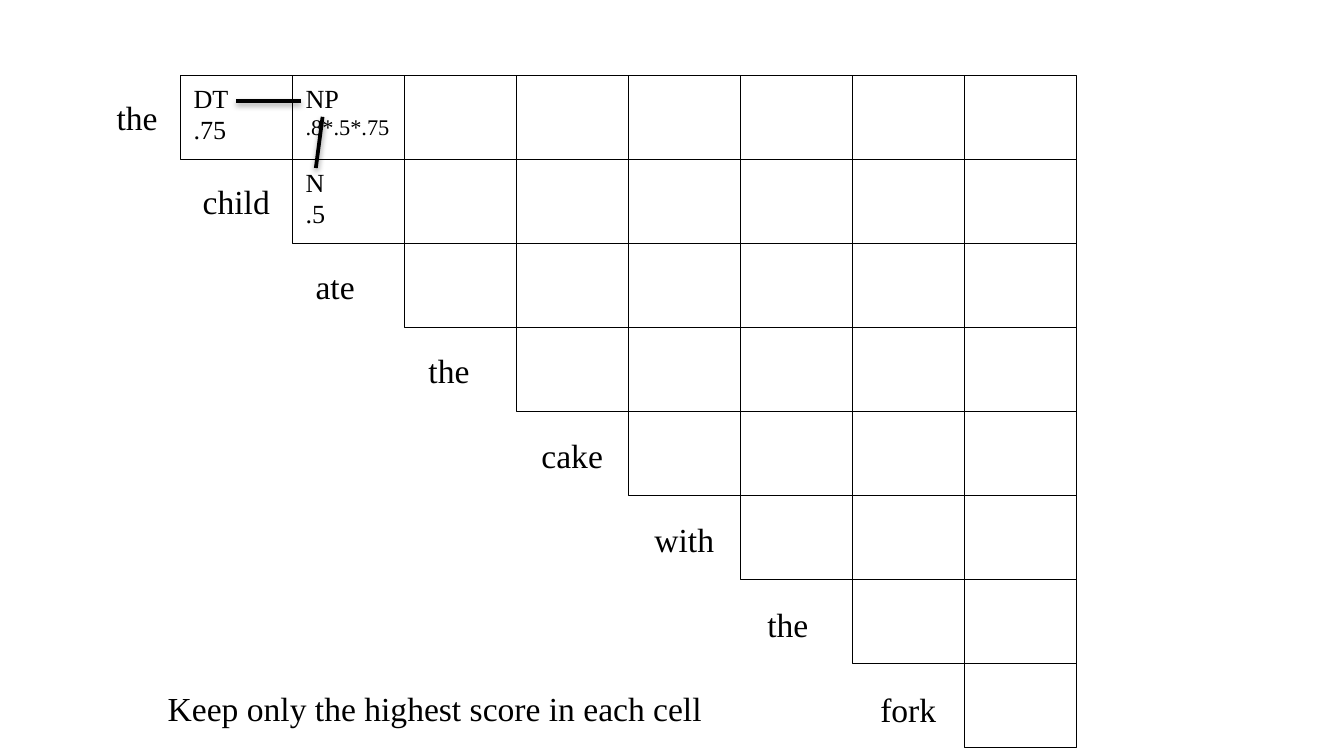
from typing import NamedTuple

from lxml.etree import SubElement
from pptx import Presentation
from pptx.dml.color import RGBColor
from pptx.enum.shapes import MSO_CONNECTOR as CONN, MSO_SHAPE as SHAPE
from pptx.enum.text import MSO_ANCHOR, MSO_AUTO_SIZE as AUTO, PP_ALIGN as ALIGN
from pptx.oxml.ns import qn
from pptx.util import Pt

COLORS = {"ink": "000000"}
FONT = "Times New Roman"
GRID_X, GRID_Y = 96.6, 40.4
CELL_W, CELL_H = 60, 45
LABEL_SIZE, LABEL_H = 18, 29


class Line(NamedTuple):
    text: str
    size: float


class Label(NamedTuple):
    text: str
    x: float
    y: float
    w: float


class Link(NamedTuple):
    x1: float
    y1: float
    x2: float
    y2: float


# Sentence words with the widths of their labels
WORDS = [("the", 36.5), ("child", 51), ("ate", 36), ("the", 36.5),
         ("cake", 47.5), ("with", 47), ("the", 36.5), ("fork", 44.5)]

# Chart entries by (row, column)
ENTRIES = {
    (0, 0): [Line("DT", 14), Line(".75", 14)],
    (0, 1): [Line("NP", 14), Line(".8*.5*.75", 12)],
    (1, 1): [Line("N", 14), Line(".5", 14)],
}

# Back pointers from NP to its two parts
LINKS = [Link(161.3, 54, 126.7, 54), Link(172.8, 62.6, 169.2, 90)]


def ink() -> RGBColor:
    return RGBColor.from_string(COLORS["ink"])


def write(tf, lines: list[Line]) -> None:
    for i, line in enumerate(lines):
        p = tf.add_paragraph() if i else tf.paragraphs[0]
        p.text = line.text
        p.alignment = ALIGN.LEFT
        p.font.name, p.font.size = FONT, Pt(line.size)
        p.font.color.rgb = ink()


def add_cell(s, row: int, col: int) -> None:
    sp = s.shapes.add_shape(SHAPE.RECTANGLE, Pt(GRID_X + col * CELL_W),
                            Pt(GRID_Y + row * CELL_H), Pt(CELL_W), Pt(CELL_H))
    sp.shadow.inherit = False
    sp.fill.background()
    sp.line.color.rgb = ink()
    sp.line.width = Pt(0.75)
    tf = sp.text_frame
    tf.vertical_anchor = MSO_ANCHOR.TOP
    write(tf, ENTRIES.get((row, col), []))


def add_label(s, label: Label) -> None:
    sp = s.shapes.add_textbox(Pt(label.x), Pt(label.y), Pt(label.w), Pt(LABEL_H))
    tf = sp.text_frame
    tf.word_wrap = False
    tf.auto_size = AUTO.SHAPE_TO_FIT_TEXT
    write(tf, [Line(label.text, LABEL_SIZE)])


def add_link(s, link: Link) -> None:
    sp = s.shapes.add_connector(CONN.STRAIGHT, *(Pt(v) for v in link))
    sp.line.color.rgb = ink()
    sp.line.width = Pt(2)
    # Soft shadow straight below the line
    effects = SubElement(sp._element.spPr, qn("a:effectLst"))
    shadow = SubElement(effects, qn("a:outerShdw"), blurRad=str(Pt(3.1)),
                        dist=str(Pt(1.6)), dir="5400000", rotWithShape="0")
    color = SubElement(shadow, qn("a:srgbClr"), val=COLORS["ink"])
    SubElement(color, qn("a:alpha"), val="38000")


def main() -> None:
    prs = Presentation()
    prs.slide_width, prs.slide_height = Pt(720), Pt(405)
    s = prs.slides.add_slide(prs.slide_layouts[6])

    # Upper triangle of the parse chart
    for row in range(len(WORDS)):
        for col in range(row, len(WORDS)):
            add_cell(s, row, col)

    # Words along the diagonal; the first stands further right of its step
    for i, (word, width) in enumerate(WORDS):
        x = 41 + 60.5 * i if i else 55.4
        add_label(s, Label(word, x, 48.2 + 45.3 * i, width))

    for link in LINKS:
        add_link(s, link)

    # Closing remark
    add_label(s, Label("Keep only the highest score in each cell", 82.8, 365, 304))
    prs.save("out.pptx")


if __name__ == "__main__":
    main()
